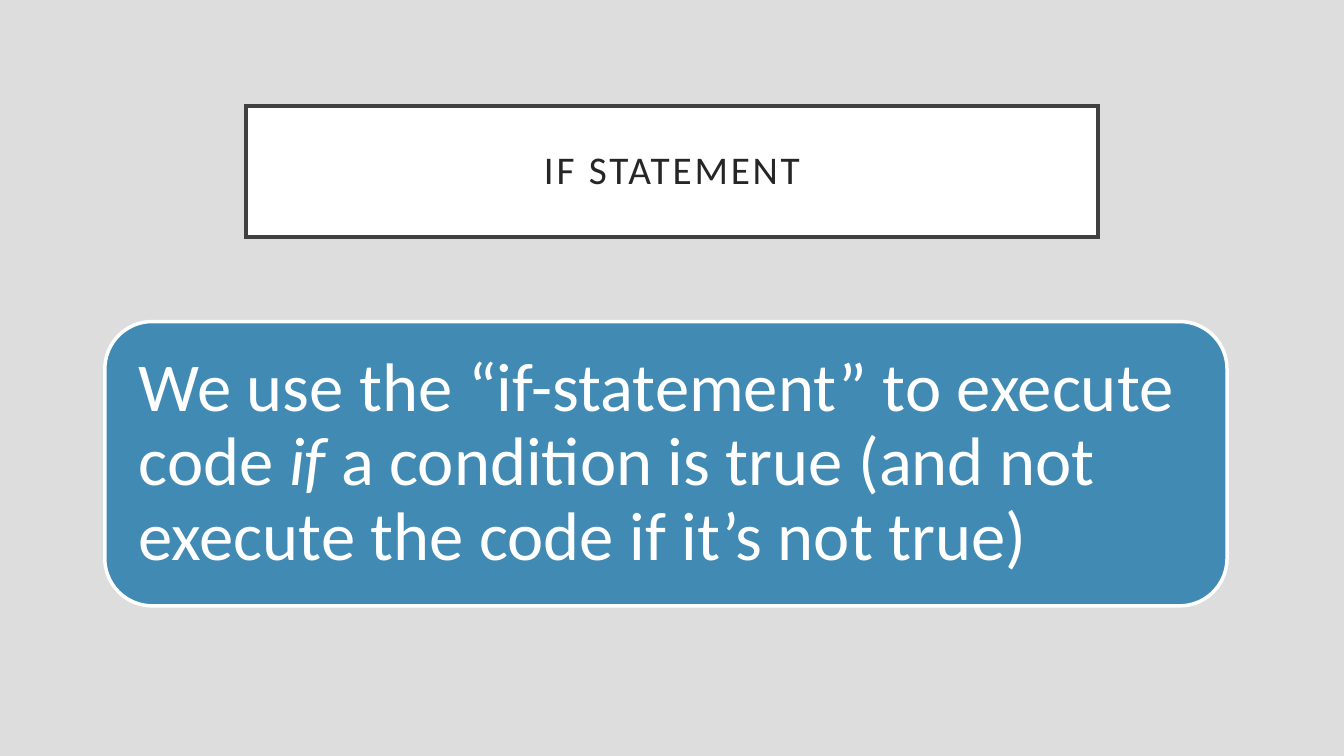
from dataclasses import dataclass

from lxml import etree
from pptx import Presentation
from pptx.dml.color import RGBColor
from pptx.enum.shapes import MSO_SHAPE
from pptx.enum.text import MSO_ANCHOR, PP_ALIGN
from pptx.oxml.ns import qn
from pptx.util import Inches, Pt

RECTANGLE = MSO_SHAPE.RECTANGLE
ROUNDED = MSO_SHAPE.ROUNDED_RECTANGLE
MIDDLE = MSO_ANCHOR.MIDDLE
LEFT, CENTER = PP_ALIGN.LEFT, PP_ALIGN.CENTER


@dataclass(frozen=True)
class Theme:
    """Colours, type sizes and measures of the slide."""
    background: str = "DDDDDD"
    white: str = "FFFFFF"
    border: str = "404040"
    title_text: str = "262626"
    accent: str = "418AB3"
    font: str = "Calibri"
    title_size: float = 28
    body_size: float = 49
    title_tracking: float = 2
    line_width: float = 2.5
    line_spacing: float = 0.9
    inset: float = 0.2


def apply_format(target, values):
    """Set each named attribute on the target."""
    for name, value in values.items():
        setattr(target, name, value)


class SlideBuilder:
    """Holds the theme and the current slide."""

    def __init__(self, slide, theme):
        """Keep the slide and paint its background."""
        self.slide, self.theme = slide, theme
        self.paint(slide.background.fill, theme.background)

    def paint(self, fill, color):
        """Give a fill one solid colour."""
        fill.solid()
        fill.fore_color.rgb = RGBColor.from_string(color)

    def box(self, kind, bounds, fill, line):
        """Add a filled and outlined shape ready for text."""
        shape = self.slide.shapes.add_shape(kind, *map(Inches, bounds))
        shape.shadow.inherit = False
        self.paint(shape.fill, fill)
        self.paint(shape.line.fill, line)
        shape.line.width = Pt(self.theme.line_width)
        if kind == RECTANGLE:
            outline = shape.line.fill._xPr
            etree.SubElement(outline, qn("a:miter"), lim="800000")
        inset = Inches(self.theme.inset)
        apply_format(shape.text_frame, {
            "word_wrap": True, "vertical_anchor": MIDDLE,
            "margin_left": inset, "margin_right": inset,
            "margin_top": inset, "margin_bottom": inset})
        return shape

    def text(self, shape, runs, size, color, alignment=LEFT, tracking=0):
        """Write one paragraph from (text, italic) runs."""
        paragraph = shape.text_frame.paragraphs[0]
        apply_format(paragraph, {"alignment": alignment,
                                 "line_spacing": self.theme.line_spacing})
        for content, italic in runs:
            run = paragraph.add_run()
            run.text = content
            apply_format(run.font, {"name": self.theme.font, "size": Pt(size),
                                    "italic": italic})
            self.paint(run.font.fill, color)
            if tracking:
                run._r.get_or_add_rPr().set("spc", str(tracking * 100))


def main():
    """Build and save the slide."""
    theme = Theme()
    presentation = Presentation()
    apply_format(presentation, {"slide_width": Inches(13.33),
                                "slide_height": Inches(7.5)})
    slide = presentation.slides.add_slide(presentation.slide_layouts[6])
    builder = SlideBuilder(slide, theme)

    title = builder.box(RECTANGLE, (2.44, 1.05, 8.45, 1.3),
                        theme.white, theme.border)
    builder.text(title, [("IF STATEMENT", False)], theme.title_size,
                 theme.title_text, CENTER, theme.title_tracking)

    statement = builder.box(ROUNDED, (1.04, 3.19, 11.13, 2.82),
                            theme.accent, theme.white)
    builder.text(statement, [
        ("We use the “if-statement” to execute code ", False),
        ("if", True),
        (" a condition is true (and not execute the code if it’s not true)",
         False),
    ], theme.body_size, theme.white)

    presentation.save("out.pptx")


main()
